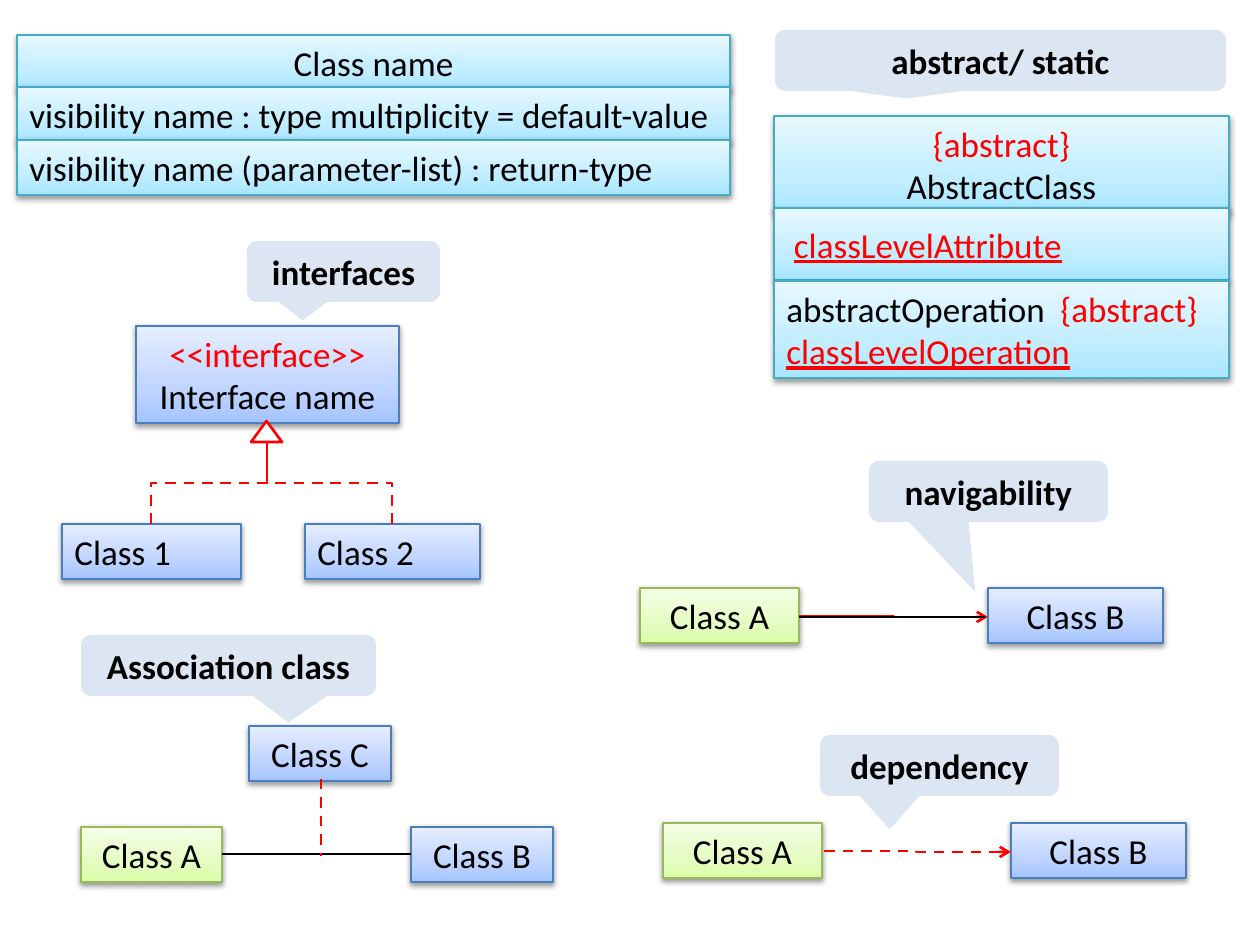
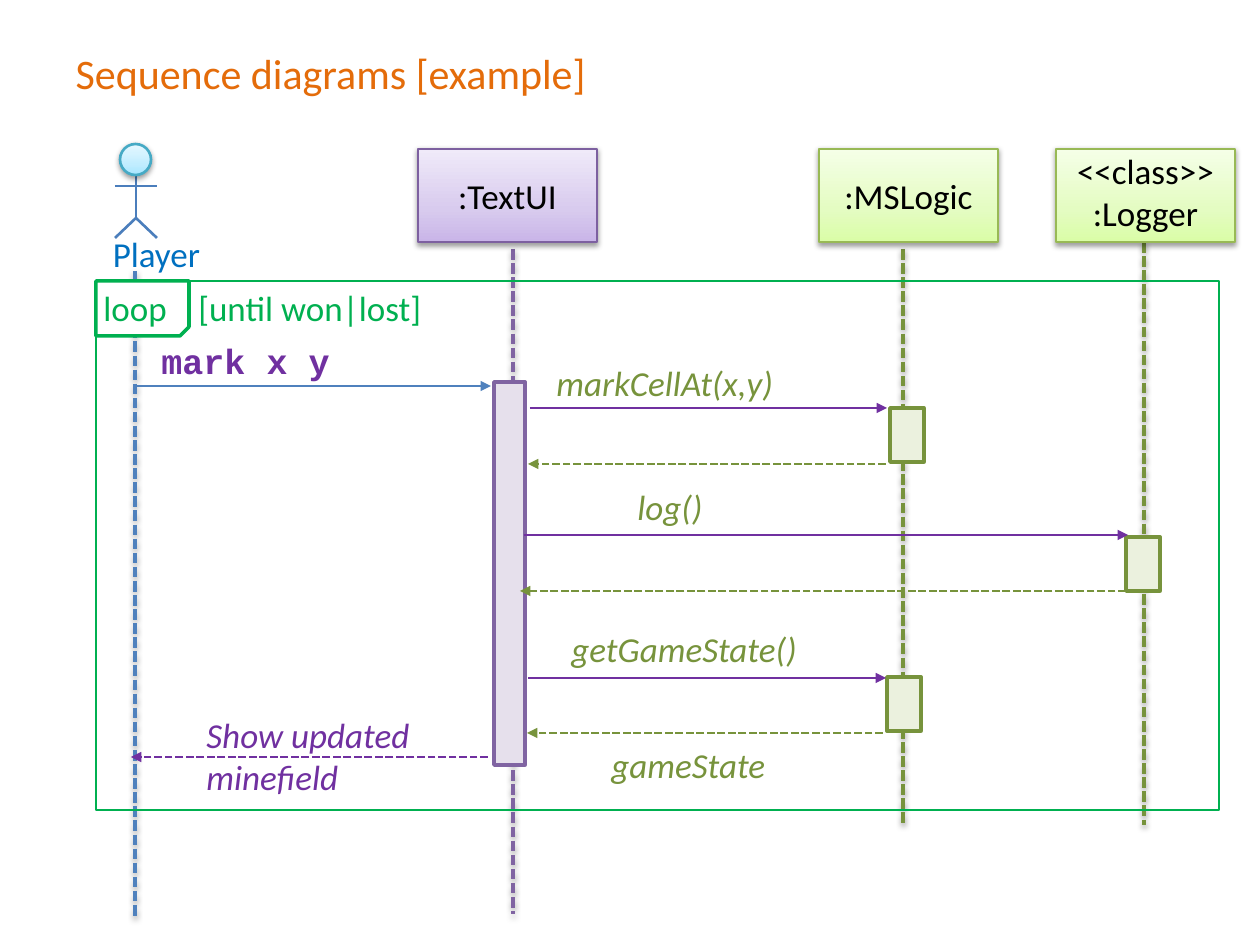
from copy import deepcopy
from dataclasses import dataclass

from pptx import Presentation
from pptx.dml.color import RGBColor
from pptx.enum.dml import MSO_LINE
from pptx.enum.shapes import MSO_CONNECTOR, MSO_SHAPE
from pptx.enum.text import MSO_ANCHOR, PP_ALIGN
from pptx.oxml.ns import qn
from pptx.util import Emu, Inches, Pt

EMU_PER_PIXEL = 914400 / 126


@dataclass(frozen=True)
class Paint:
    """Three gradient stops and the outline that goes with them."""
    stops: tuple
    outline: str


@dataclass(frozen=True)
class Theme:
    """Colours, fonts and sizes of both slides."""
    font: str = "Calibri"
    code_font: str = "Courier New"
    title_size: int = 24
    text_size: int = 20
    thin: float = 1.5
    thick: float = 2
    black: str = "000000"
    white: str = "FFFFFF"
    red: str = "FF0000"
    title: str = "E46C0A"
    callout: str = "DCE6F2"
    actor_name: str = "0070C0"
    actor_line: str = "4F81BD"
    ui_line: str = "8064A2"
    ui_bar: str = "E6E0EC"
    call: str = "7030A0"
    logic: str = "77933C"
    logic_bar: str = "EBF1DE"
    loop: str = "00B050"
    aqua: Paint = Paint(("A7E6FF", "C1EDFF", "E7F8FF"), "46AAC5")
    blue: Paint = Paint(("A4C4FF", "BFD4FF", "E6EEFF"), "4B7EBC")
    green: Paint = Paint(("DAFDA7", "E4FCC2", "F5FFE7"), "98B955")
    purple: Paint = Paint(("C9B5E8", "D8CBEE", "F0EAF9"), "7D60A0")


THEME = Theme()
RED = {"color": THEME.red}
RED_UNDERLINED = {"color": THEME.red, "underline": True}


def emu(pixels):
    """Turn pixels into EMU."""
    return Emu(round(pixels * EMU_PER_PIXEL))


def rgb(code):
    """Turn a hex code into a colour."""
    return RGBColor.from_string(code)


def assign(target, values):
    """Set each named attribute on the target."""
    for name, value in values.items():
        setattr(target, name, value)


def child(parent, tag, **attributes):
    """Append an XML element and return it."""
    element = parent.makeelement(qn(tag), attributes)
    parent.append(element)
    return element


def cast_shadow(properties):
    """Put a soft shadow below a shape or connector."""
    effects = properties.find(qn("a:effectLst"))
    shadow = child(effects, "a:outerShdw", blurRad="40000", dist="20000",
                   dir="5400000", rotWithShape="0")
    child(child(shadow, "a:srgbClr", val=THEME.black), "a:alpha", val="38000")


def paint_gradient(fill, stops):
    """Fill with three stops from bottom to top."""
    fill.gradient()
    fill.gradient_angle = 90
    stop_list = fill.gradient_stops[0]._gs.getparent()
    stop_list.insert(1, deepcopy(stop_list[0]))
    for stop, code, position in zip(fill.gradient_stops, stops, (0, 0.35, 1)):
        stop.color.rgb = rgb(code)
        stop.position = position


def write(frame, paragraphs, align=PP_ALIGN.LEFT, anchor=MSO_ANCHOR.MIDDLE,
          tab=None, margins=None, **font):
    """Write paragraphs of (text, format) runs; a lone newline is a break."""
    assign(frame, {"word_wrap": True, "vertical_anchor": anchor})
    assign(frame, {f"margin_{side}": emu(v) for side, v in (margins or {}).items()})
    if isinstance(paragraphs, str):
        paragraphs = [[(paragraphs, {})]]
    for index, runs in enumerate(paragraphs):
        paragraph = frame.add_paragraph() if index else frame.paragraphs[0]
        paragraph.alignment = align
        if tab:
            stops = child(paragraph._p.get_or_add_pPr(), "a:tabLst")
            child(stops, "a:tab", pos=str(emu(tab)), algn="l")
        for text, own in runs:
            if text == "\n":
                paragraph.add_line_break()
                continue
            run = paragraph.add_run()
            run.text = text
            look = {"name": THEME.font, "size": Pt(THEME.text_size),
                    "color": THEME.black, **font, **own}
            run.font.color.rgb = rgb(look.pop("color"))
            assign(run.font, look)


@dataclass
class Region:
    """A box on a slide whose parts are placed from its top left corner."""
    slide: object
    x: int
    y: int
    w: int
    h: int

    def shape(self, kind, x, y, w, h, fill=None, outline=None, width=THEME.thin):
        """Add a preset shape with a plain or shaded fill."""
        part = self.slide.shapes.add_shape(
            kind, emu(self.x + x), emu(self.y + y), emu(w), emu(h))
        part.shadow.inherit = False
        if isinstance(fill, Paint):
            paint_gradient(part.fill, fill.stops)
            cast_shadow(part._element.spPr)
            outline = fill.outline
        elif fill:
            part.fill.solid()
            part.fill.fore_color.rgb = rgb(fill)
        else:
            part.fill.background()
        if outline:
            part.line.color.rgb = rgb(outline)
            part.line.width = Pt(width)
        else:
            part.line.fill.background()
        return part

    def block(self, paragraphs, x, y, w, h, paint, align=PP_ALIGN.CENTER, **text):
        """Add a shaded rectangle with text."""
        part = self.shape(MSO_SHAPE.RECTANGLE, x, y, w, h, paint)
        write(part.text_frame, paragraphs, align, **text)

    def callout(self, label, x, w, tip=(-0.208, 0.625)):
        """Add a bold label that points at a diagram."""
        part = self.shape(MSO_SHAPE.ROUNDED_RECTANGULAR_CALLOUT, x, 0, w, 61,
                          THEME.callout)
        for index, value in enumerate((*tip, 0.167)):
            part.adjustments[index] = value
        write(part.text_frame, label, PP_ALIGN.CENTER, bold=True)

    def label(self, paragraphs, x, y, w, h=55, anchor=MSO_ANCHOR.TOP, **text):
        """Add free text."""
        part = self.slide.shapes.add_textbox(
            emu(self.x + x), emu(self.y + y), emu(w), emu(h))
        write(part.text_frame, paragraphs, anchor=anchor, **text)

    def line(self, start, end, color, width=THEME.thin, dash=None, arrow=None,
             arrow_end="a:tailEnd", kind=MSO_CONNECTOR.STRAIGHT, shadow=False):
        """Add a connector from start to end."""
        ends = [emu(v) for px, py in (start, end) for v in (self.x + px, self.y + py)]
        part = self.slide.shapes.add_connector(kind, *ends)
        part.line.color.rgb = rgb(color)
        assign(part.line, {"width": Pt(width), "dash_style": dash})
        if arrow:
            child(part.line._get_or_add_ln(), arrow_end, type=arrow)
        properties = part._element.spPr
        child(properties, "a:effectLst")
        if shadow:
            cast_shadow(properties)
        return part

    def inherit(self, sub, parent):
        """Join a subclass to its parent by a dashed upright elbow."""
        rise, run = sub[1] - parent[1], abs(parent[0] - sub[0])
        middle = (sub[0] + parent[0]) / 2, (sub[1] + parent[1]) / 2
        side = 1 if sub[0] < parent[0] else -1
        start, end = ((middle[0] + sign * side * rise / 2, middle[1] + sign * run / 2)
                      for sign in (1, -1))
        part = self.line(start, end, THEME.red, dash=MSO_LINE.DASH,
                         kind=MSO_CONNECTOR.ELBOW)
        quarter_turns = 1 if side > 0 else 3
        part._element.spPr.find(qn("a:xfrm")).set("rot", str(quarter_turns * 5400000))


def class_notation(region):
    """Draw the general form of a class."""
    rows = (("Class name", PP_ALIGN.CENTER),
            ("visibility name : type multiplicity = default-value", PP_ALIGN.LEFT),
            ("visibility name (parameter-list) : return-type", PP_ALIGN.LEFT))
    for index, (text, align) in enumerate(rows):
        region.block(text, 0, index * 105 // 2, region.w, 55, THEME.aqua, align)


def abstract_class(region):
    """Draw a class with abstract and static members."""
    heading = [[("{abstract}", RED), ("\n", {}), ("AbstractClass", {})]]
    operations = [[("abstractOperation\t", {}), ("{abstract}", RED)],
                  [("classLevelOperation", RED_UNDERLINED)]]
    region.block(heading, 0, 86, region.w, 97, THEME.aqua)
    region.block([[("classLevelAttribute", RED_UNDERLINED)]], 0, 178, region.w, 72,
                 THEME.aqua, PP_ALIGN.LEFT, margins={"left": 20})
    region.block(operations, 0, 251, region.w, 97, THEME.aqua, PP_ALIGN.LEFT, tab=274)
    region.callout("abstract/ static", 1, 451)


def interface_tree(region):
    """Draw two classes that implement an interface."""
    heading = [[("<<interface>>", RED), ("\n", {}), ("Interface name", {})]]
    region.block(heading, 74, 85, 263, 97, THEME.blue)
    region.shape(MSO_SHAPE.ISOSCELES_TRIANGLE, 189, 180, 31, 21, THEME.white, THEME.red)
    for name, x, w in (("Class 1", 0, 179), ("Class 2", 243, 175)):
        region.block(name, x, 283, w, 55, THEME.blue, PP_ALIGN.LEFT)
        region.inherit((x + w // 2, 283), (205, 201))
    region.callout("interfaces", 185, 193, (-0.213, 0.805))


def association_class(region):
    """Draw an association with a class attached to it."""
    region.block("Class A", 0, 192, 141, 55, THEME.green)
    region.block("Class B", 330, 192, 142, 55, THEME.blue)
    region.line((141, 219), (330, 219), THEME.black)
    region.block("Class C", 168, 91, 142, 55, THEME.blue)
    region.line((240, 144), (240, 221), THEME.red, dash=MSO_LINE.DASH)
    region.callout("Association class", 0, 295, (0.203, 0.934))


def relation(region, label, label_x, tip, dash=None, associated=False):
    """Draw an arrow from class A to class B."""
    top = region.h - 55
    region.block("Class A", 0, top, 159, 55, THEME.green)
    region.block("Class B", 348, top, 175, 55, THEME.blue)
    region.line((348, top + 29), (159, top + 28), THEME.red, dash=dash, arrow="arrow",
                arrow_end="a:headEnd", kind=MSO_CONNECTOR.ELBOW)
    if associated:
        region.line((159, top + 29), (345, top + 29), THEME.black)
    region.callout(label, label_x, 239, tip)


def lifelines(region):
    """Draw the participants and their dashed lifelines."""
    for x, top, bottom, color in ((39, 127, 772, THEME.actor_line),
                                  (417, 105, 770, THEME.ui_line),
                                  (807, 105, 681, THEME.logic),
                                  (1048, 98, 681, THEME.logic)):
        region.line((x, top), (x, bottom), color, THEME.thick,
                    MSO_LINE.SQUARE_DOT, shadow=True)
    logger = [[("<<class>>", {}), ("\n", {}), (":Logger", {})]]
    for name, x, paint, inset in ((":TextUI", 322, THEME.purple, 25),
                                  (":MSLogic", 723, THEME.green, 25),
                                  (logger, 960, THEME.green, 0)):
        region.block(name, x, 5, 179, 93, paint, anchor=MSO_ANCHOR.TOP,
                     margins={"top": inset, "bottom": inset})


def actor(region):
    """Draw the stick figure of the player."""
    neck, hip, center = 21, 74, region.w // 2
    for start, end in (((center, neck), (center, hip)), ((0, 42), (region.w, 42)),
                       ((center, hip), (0, 94)), ((center, hip), (region.w, 94))):
        region.line(start, end, THEME.blue.outline)
    region.shape(MSO_SHAPE.OVAL, center - 16, 0, 31, 31, THEME.aqua)
    region.label("Player", -33, 82, 149, align=PP_ALIGN.CENTER, color=THEME.actor_name)


def loop_frame(region):
    """Draw the loop frame with its tab and guard."""
    region.shape(MSO_SHAPE.RECTANGLE, 0, 0, region.w, region.h, outline=THEME.loop)
    tab = region.shape(MSO_SHAPE.SNIP_1_RECTANGLE, 0, 0, 93, 55, THEME.white,
                       THEME.loop, THEME.thick)
    tab._element.spPr.find(qn("a:xfrm")).set("flipV", "1")
    region.label("loop\t[until won|lost]", -5, 0, 416, 53, MSO_ANCHOR.MIDDLE,
                 tab=95, color=THEME.loop)


def messages(region):
    """Draw the activations, message arrows and message labels."""
    region.shape(MSO_SHAPE.RECTANGLE, 398, 101, 31, 383, THEME.ui_bar, THEME.ui_line,
                 THEME.thick)
    for x, y in ((794, 127), (791, 396), (1030, 256)):
        region.shape(MSO_SHAPE.RECTANGLE, x, y, 34, 54, THEME.logic_bar, THEME.logic,
                     THEME.thick)
    for start, end, y, color, dash in (
            (39, 395, 105, THEME.actor_line, None),
            (392, 35, 476, THEME.call, MSO_LINE.SQUARE_DOT),
            (434, 791, 127, THEME.call, None),
            (790, 432, 183, THEME.logic, MSO_LINE.SQUARE_DOT),
            (428, 1032, 254, THEME.call, None),
            (1030, 424, 310, THEME.logic, MSO_LINE.SQUARE_DOT),
            (432, 790, 397, THEME.call, None),
            (787, 431, 452, THEME.logic, MSO_LINE.SQUARE_DOT)):
        region.line((start, y), (end, y), color, dash=dash, arrow="triangle")
    region.label("mark x y", 53, 52, 320, color=THEME.call, bold=True,
                 name=THEME.code_font)
    region.label("Show updated minefield", 98, 426, 295, 97, color=THEME.call,
                 italic=True)
    for text, x, y, w in (("markCellAt(x,y)", 448, 74, 352), ("log()", 529, 198, 135),
                          ("getGameState()", 463, 340, 310),
                          ("gameState", 503, 456, 236)):
        region.label(text, x, y, w, color=THEME.logic, italic=True)


def class_slide(deck):
    """Build the slide of class diagram notation."""
    slide = deck.slides.add_slide(deck.slide_layouts[6])
    class_notation(Region(slide, 17, 35, 713, 160))
    abstract_class(Region(slide, 774, 30, 455, 348))
    interface_tree(Region(slide, 62, 241, 418, 338))
    association_class(Region(slide, 81, 635, 472, 247))
    relation(Region(slide, 640, 461, 523, 182), "navigability", 229,
             (-0.055, 1.648), associated=True)
    relation(Region(slide, 663, 735, 523, 143), "dependency", 157,
             (-0.208, 1.046), dash=MSO_LINE.DASH)


def sequence_slide(deck):
    """Build the slide of the sequence diagram."""
    slide = deck.slides.add_slide(deck.slide_layouts[5])
    assign(slide.shapes.title, {"left": emu(63), "top": emu(38),
                                "width": emu(1134), "height": emu(69)})
    write(slide.shapes.title.text_frame, "Sequence diagrams [example]",
          size=Pt(THEME.title_size), color=THEME.title)
    lifelines(Region(slide, 96, 144, 1139, 772))
    actor(Region(slide, 115, 144, 42, 94))
    loop_frame(Region(slide, 96, 281, 1123, 529))
    messages(Region(slide, 96, 281, 1123, 529))


presentation = Presentation()
assign(presentation, {"slide_width": Inches(10), "slide_height": Inches(7.5)})
class_slide(presentation)
sequence_slide(presentation)
presentation.save("out.pptx")
